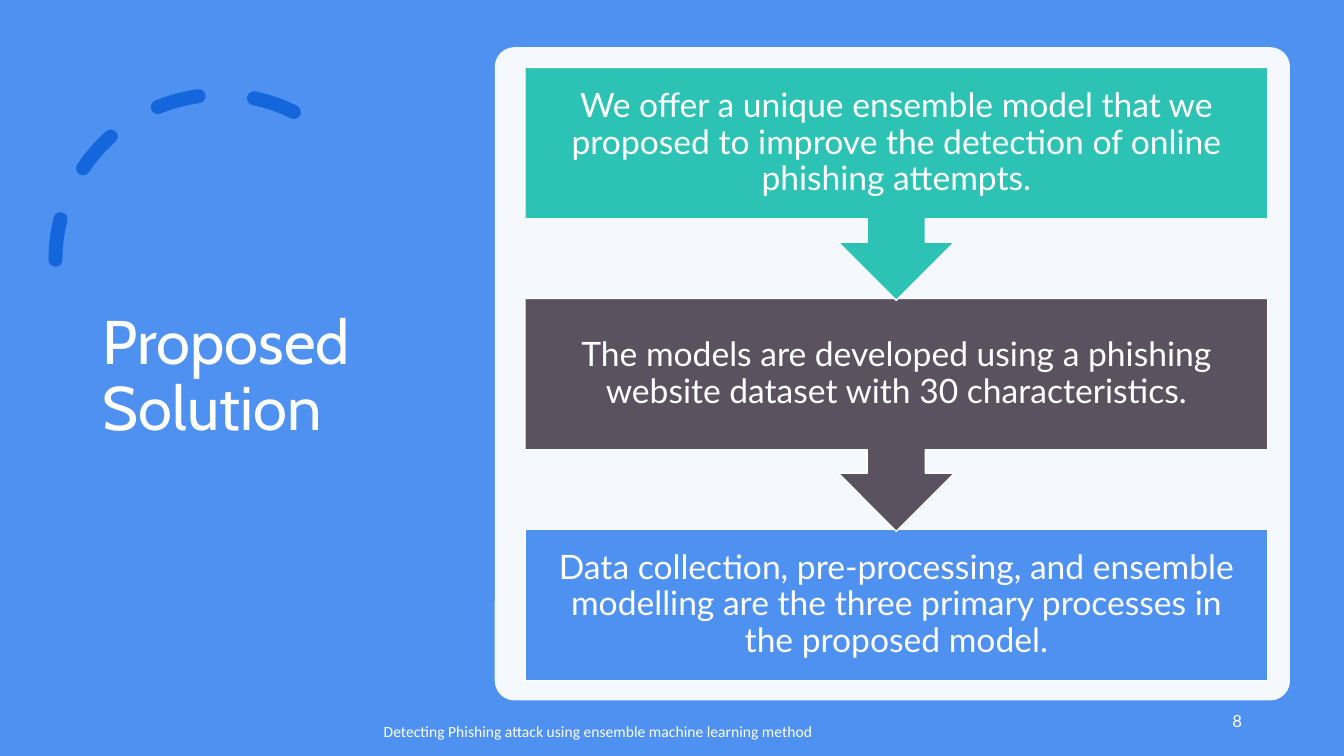
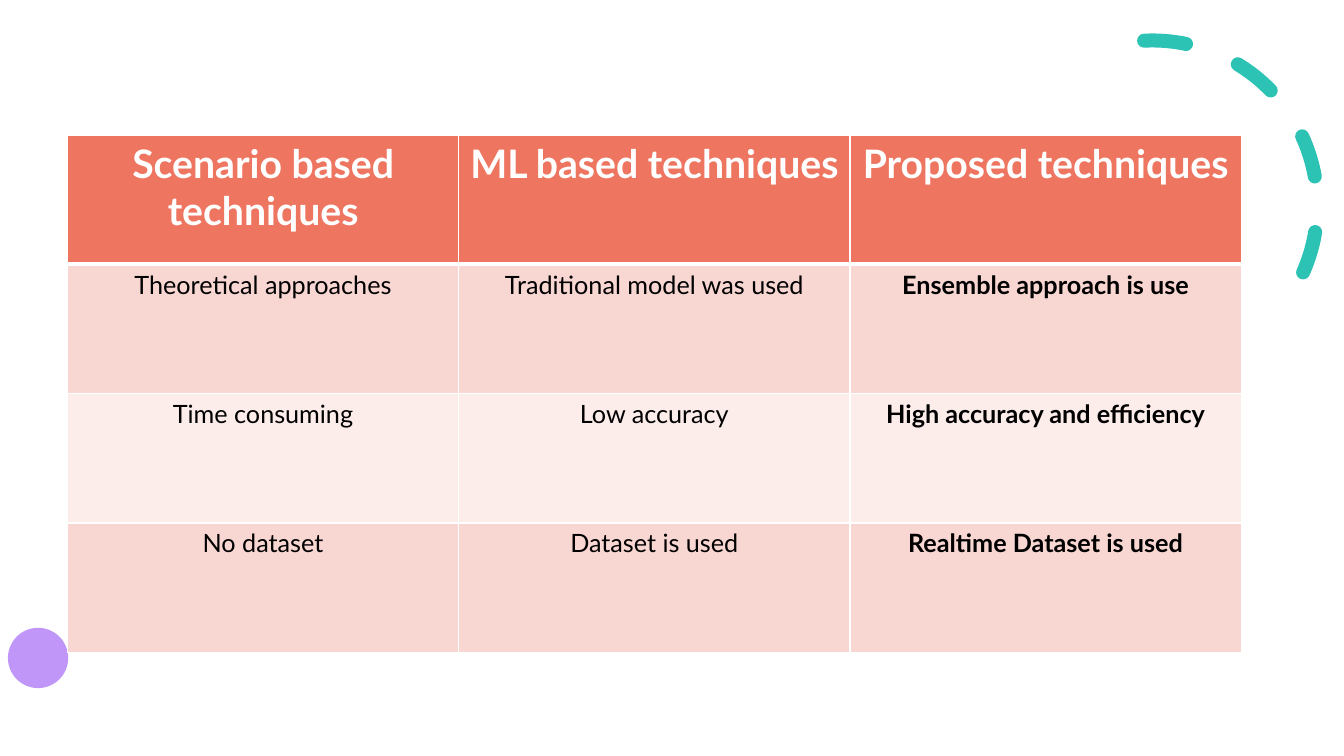
from dataclasses import dataclass

from lxml import etree
from pptx import Presentation
from pptx.dml.color import RGBColor
from pptx.enum import dml, shapes, text
from pptx.oxml import ns
from pptx.util import Cm, Pt

WHITE, BLACK = "FFFFFF", "000000"
BLUE, NAVY, TEAL, SLATE = "4E91F0", "1366DC", "2CC3B4", "5B5260"
CORAL, ROSE, BLUSH, LILAC = "EE7661", "F8D6D2", "FCECEA", "C097F8"
KIND = shapes.MSO_SHAPE
LEFT, MID, RIGHT = text.PP_ALIGN.LEFT, text.PP_ALIGN.CENTER, text.PP_ALIGN.RIGHT
TOP, HALF = text.MSO_ANCHOR.TOP, text.MSO_ANCHOR.MIDDLE


@dataclass
class Box:
    x: float
    y: float
    w: float
    h: float

    def place(self) -> tuple:
        return Cm(self.x), Cm(self.y), Cm(self.w), Cm(self.h)


@dataclass
class Step:
    words: str
    color: str
    kind: int
    high: float


STEPS = [
    Step("We offer a unique ensemble model that we proposed to improve the "
         "detection of online phishing attempts.", TEAL, KIND.DOWN_ARROW_CALLOUT, 5.87),
    Step("The models are developed using a phishing website dataset with 30 "
         "characteristics.", SLATE, KIND.DOWN_ARROW_CALLOUT, 5.87),
    Step("Data collection, pre-processing, and ensemble modelling are the three "
         "primary processes in the proposed model.", BLUE, KIND.RECTANGLE, 3.81),
]
ROWS = [
    ("Scenario based techniques", "ML based techniques", "Proposed techniques"),
    ("Theoretical approaches", "Traditional model was used", "Ensemble approach is use"),
    ("Time consuming", "Low accuracy", "High accuracy and efficiency"),
    ("No dataset", "Dataset is used", "Realtime Dataset is used"),
]
FILLS = [CORAL, ROSE, BLUSH, ROSE]


def rgb(color: str) -> RGBColor:
    return RGBColor.from_string(color)


def write(frame, words: str, *, size: float, font: str = "Lato", color: str = WHITE,
          bold: bool = False, align=LEFT, anchor=HALF, lead: float = 1.0,
          inset: float | None = None) -> None:
    frame.word_wrap = True
    frame.vertical_anchor = anchor
    if inset is not None:
        frame.margin_left = frame.margin_right = Cm(inset)
        frame.margin_top = frame.margin_bottom = Cm(inset)
    para = frame.paragraphs[0]
    para.alignment, para.line_spacing = align, lead
    run = para.add_run()
    run.text = words
    run.font.name, run.font.size, run.font.bold = font, Pt(size), bold
    run.font.color.rgb = rgb(color)


def label(slide, box: Box, words: str, **form) -> None:
    write(slide.shapes.add_textbox(*box.place()).text_frame, words, **form)


def draw(slide, kind, box: Box, fill: str, edge: str | None = None):
    shape = slide.shapes.add_shape(kind, *box.place())
    shape.shadow.inherit = False
    shape.fill.solid()
    shape.fill.fore_color.rgb = rgb(fill)
    if edge:
        shape.line.color.rgb = rgb(edge)
        shape.line.width = Pt(1)
    else:
        shape.line.fill.background()
    return shape


def dashes(slide, box: Box, color: str, start: float, end: float,
           turn: float = 0, flip: bool = False) -> None:
    arc = draw(slide, KIND.ARC, box, color, color)
    arc.fill.background()
    arc.adjustments[0], arc.adjustments[1] = start, end
    arc.rotation = turn
    arc.line.width = Pt(10)
    arc.line.dash_style = dml.MSO_LINE.DASH
    props = arc.element.spPr
    props.find(ns.qn("a:ln")).set("cap", "rnd")
    if flip:
        props.find(ns.qn("a:xfrm")).set("flipH", "1")


def fade(shape, share: int) -> None:
    tint = shape.element.spPr.find(".//" + ns.qn("a:srgbClr"))
    etree.SubElement(tint, ns.qn("a:alpha"), val=str(share * 1000))


def border(cell, **sides: float) -> None:
    props = cell._tc.get_or_add_tcPr()
    for side in "LRTB":
        line = etree.SubElement(props, ns.qn("a:ln" + side), w=str(Pt(sides.get(side, 1))))
        fill = etree.SubElement(line, ns.qn("a:solidFill"))
        etree.SubElement(fill, ns.qn("a:srgbClr"), val=WHITE)


def backdrop(slide, color: str) -> None:
    slide.background.fill.solid()
    slide.background.fill.fore_color.rgb = rgb(color)


def plan(deck) -> None:
    slide = deck.slides.add_slide(deck.slide_layouts[5])
    backdrop(slide, BLUE)
    title = slide.shapes.title
    title.left, title.top, title.width, title.height = Box(2.34, 1.78, 8.2, 15.47).place()
    title.text_frame.auto_size = text.MSO_AUTO_SIZE.NONE
    write(title.text_frame, "Proposed Solution", size=44, font="Cabin", lead=0.9)
    dashes(slide, Box(1.4, 2.39, 8.31, 8.31), NAVY, 146.13, 0, flip=True)
    panel = draw(slide, KIND.ROUNDED_RECTANGLE, Box(12.47, 1.19, 20.04, 16.46), WHITE)
    panel.adjustments[0] = 0.03
    fade(panel, 95)
    for i, step in reversed(list(enumerate(STEPS))):
        box = Box(13.23, 1.7 + i * 5.82, 18.72, step.high)
        shape = draw(slide, step.kind, box, step.color, WHITE)
        write(shape.text_frame, step.words, size=24, align=MID, lead=0.9, inset=0.48)
    label(slide, Box(23.93, 17.65, 7.62, 1.02), "8", size=12, align=RIGHT)
    label(slide, Box(9.42, 17.93, 11.33, 1.02),
          "Detecting Phishing attack using ensemble machine learning method",
          size=11.1, font="Calibri")


def compare(deck) -> None:
    slide = deck.slides.add_slide(deck.slide_layouts[6])
    backdrop(slide, WHITE)
    dashes(slide, Box(24.89, 1.02, 8.31, 8.31), TEAL, 162, 22.87, turn=357.1)
    draw(slide, KIND.OVAL, Box(0.2, 15.82, 1.52, 1.52), LILAC)
    place = Box(1.7, 3.4, 29.58, 13.04).place()
    table = slide.shapes.add_table(len(ROWS), len(ROWS[0]), *place).table
    table.horz_banding = False
    for r, row in enumerate(ROWS):
        head = r == 0
        for c, words in enumerate(row):
            cell = table.cell(r, c)
            border(cell, T=3 if r == 1 else 1, B=3 if head else 1)
            cell.fill.solid()
            cell.fill.fore_color.rgb = rgb(FILLS[r])
            write(cell.text_frame, words, size=28 if head else 18, align=MID, anchor=TOP,
                  color=WHITE if head else BLACK, bold=head or c == 2)


def main() -> None:
    deck = Presentation()
    deck.slide_width, deck.slide_height = Cm(33.87), Cm(19.05)
    plan(deck)
    compare(deck)
    deck.save("out.pptx")


if __name__ == "__main__":
    main()
